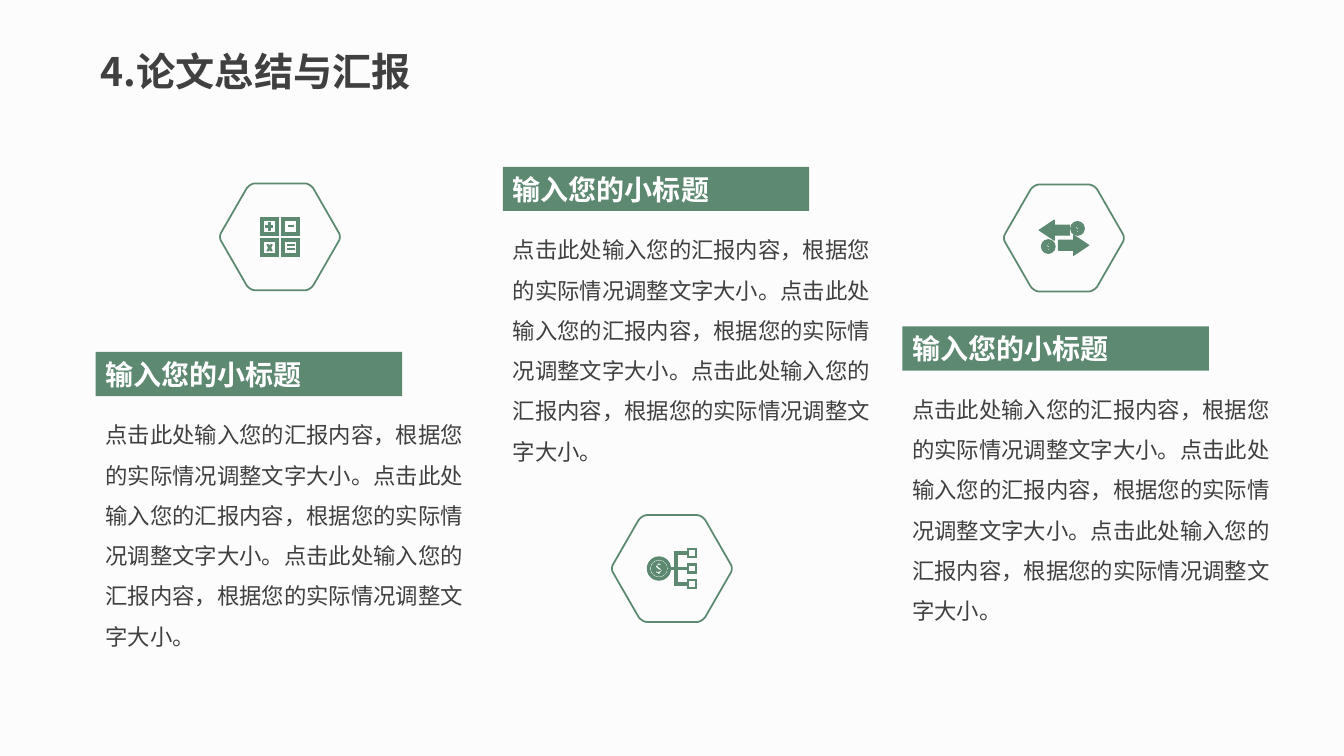
"""Build the thesis summary slide with three hexagon icons and text blocks."""
from math import cos, pi, sin

from lxml import etree
from pptx import Presentation
from pptx.dml.color import RGBColor
from pptx.enum.shapes import MSO_SHAPE
from pptx.enum.text import MSO_ANCHOR, MSO_AUTO_SIZE, PP_ALIGN
from pptx.oxml.ns import qn
from pptx.util import Pt

GREEN = RGBColor(0x5D, 0x89, 0x71)
DARK = RGBColor(0x40, 0x40, 0x40)
WHITE = RGBColor(0xFF, 0xFF, 0xFF)
PAPER = RGBColor(0xFC, 0xFC, 0xFC)
FONT = "Noto Sans CJK SC"

RECT, FRAME, RING = MSO_SHAPE.RECTANGLE, MSO_SHAPE.FRAME, MSO_SHAPE.DONUT
CROSS = MSO_SHAPE.CROSS
ARROW_LEFT, ARROW_RIGHT = MSO_SHAPE.LEFT_ARROW, MSO_SHAPE.RIGHT_ARROW
LEFT, TOP, MIDDLE = PP_ALIGN.LEFT, MSO_ANCHOR.TOP, MSO_ANCHOR.MIDDLE
GROW = MSO_AUTO_SIZE.SHAPE_TO_FIT_TEXT

TITLE = "4.论文总结与汇报"
SUBTITLE = "输入您的小标题"
BODY = "点击此处输入您的汇报内容，根据您的实际情况调整文字大小。" * 3

HEX_TOP = [(17.6, -38.2), (20, -38.2), (22.8, -36.4), (24.2, -34)]
HEX_SIDE = [(41.6, -3.7), (43.2, -1.4), (43.2, 1.4), (41.6, 3.7)]
DOLLAR = [(1, 5), (1, 6), (-1, 6), (-1, 5), (-4, 4), (-3, 2), (-1, 3),
          (1.5, 2), (-1, 1), (-4, -2), (-1, -5), (-1, -6), (1, -6), (1, -5),
          (3, -4.5), (2, -3), (0, -3.3), (-1.2, -2.5), (1, -1), (3.5, 2)]
BRANCH = [(-0.4, -1), (1.8, -1), (1.8, -12), (10.4, -12), (10.4, -10),
          (4, -10), (4, -1), (10.4, -1), (10.4, 1), (4, 1), (4, 10),
          (10.4, 10), (10.4, 12), (1.8, 12), (1.8, 1), (-0.4, 1)]
TIMES = [(-1.8, -2.2), (-0.8, -2.2), (0, -0.9), (0.8, -2.2), (1.8, -2.2),
         (0.7, 0), (1.8, 2.2), (0.8, 2.2), (0, 0.9), (-0.8, 2.2),
         (-1.8, 2.2), (-0.7, 0)]


def bezier(a, b, c, d, steps=8):
    """Return points along a cubic curve."""
    points = []
    for i in range(steps + 1):
        t = i / steps
        u = 1 - t
        weights = (u ** 3, 3 * u * u * t, 3 * u * t * t, t ** 3)
        points.append(tuple(sum(w * p[axis] for w, p in zip(weights, (a, b, c, d)))
                            for axis in (0, 1)))
    return points


def paint(sp, line_width, filled=True):
    """Give a shape the green outline and, if wanted, the green fill."""
    sp.shadow.inherit = False
    if filled:
        sp.fill.solid()
        sp.fill.fore_color.rgb = GREEN
    else:
        sp.fill.background()
    sp.line.color.rgb = GREEN
    sp.line.width = Pt(line_width)


def add_outline(shapes, cx, cy, *contours, line_width=0.75, filled=True):
    """Draw closed contours given as offsets from a centre."""
    builder = None
    for contour in contours:
        points = [(Pt(cx + x), Pt(cy + y)) for x, y in contour]
        if builder is None:
            builder = shapes.build_freeform(*points[0], scale=1.0)
        else:
            builder.move_to(*points[0])
        builder.add_line_segments(points[1:], close=True)
    paint(builder.convert_to_shape(), line_width, filled)


def add_part(shapes, kind, cx, cy, w, h, *adjustments):
    """Add a green preset shape centred on a point."""
    sp = shapes.add_shape(kind, Pt(cx - w / 2), Pt(cy - h / 2), Pt(w), Pt(h))
    for i, value in enumerate(adjustments):
        sp.adjustments[i] = value
    paint(sp, 0.75)


def add_hexagon(shapes, cx, cy):
    """Draw a hexagon outline with rounded corners."""
    top = bezier(*HEX_TOP)
    right = top + bezier(*HEX_SIDE) + [(x, -y) for x, y in reversed(top)]
    left = [(-x, -y) for x, y in right]
    add_outline(shapes, cx, cy, right + left, line_width=1.25, filled=False)


def add_coin(shapes, cx, cy, ring, disc, thickness):
    """Draw a ringed coin with a dollar sign cut out."""
    add_part(shapes, RING, cx, cy, ring, ring, thickness)
    angles = [2 * pi * i / 32 for i in range(32)]
    circle = [(disc / 2 * cos(a), disc / 2 * sin(a)) for a in angles]
    dollar = [(x * disc / 15, y * disc / 15) for x, y in DOLLAR]
    add_outline(shapes, cx, cy, circle, dollar)


def add_calculator(shapes, cx, cy):
    """Draw four calculator keys."""
    for dx in (-7.5, 7.5):
        for dy in (-7.5, 7.5):
            add_part(shapes, FRAME, cx + dx, cy + dy, 13.4, 13.2, 0.16)
    add_part(shapes, CROSS, cx - 7.5, cy - 7.5, 5, 5.4, 0.42)
    add_part(shapes, RECT, cx + 7.9, cy - 7.7, 3.6, 1.2)
    add_outline(shapes, cx - 7.4, cy + 7.8, TIMES)
    for dy in (6, 9):
        add_part(shapes, RECT, cx + 7.9, cy + dy, 5.4, 0.8)


def add_money_tree(shapes, cx, cy):
    """Draw a coin that branches to three boxes."""
    for dy in (-10.9, 0, 10.9):
        add_part(shapes, FRAME, cx + 14.4, cy + dy, 6.7, 6.7, 0.15)
    add_outline(shapes, cx, cy, BRANCH)
    add_coin(shapes, cx - 9.3, cy, 16.6, 10.8, 0.1)


def add_exchange(shapes, cx, cy):
    """Draw two opposed arrows with coins."""
    add_part(shapes, ARROW_LEFT, cx - 6.9, cy - 5.6, 21.6, 14.4, 0.5, 0.75)
    add_part(shapes, ARROW_RIGHT, cx + 6.9, cy + 5.2, 21.6, 14.4, 0.5, 0.75)
    add_coin(shapes, cx + 9.7, cy - 6.8, 9.8, 7.4, 0.05)
    add_coin(shapes, cx - 11.2, cy + 6.1, 9.8, 7.4, 0.05)


def write(sp, text, size, color, bold=False, anchor=TOP, spacing=1.0):
    """Put one formatted paragraph into a shape."""
    tf = sp.text_frame
    tf.word_wrap = True
    tf.auto_size = GROW
    tf.vertical_anchor = anchor
    p = tf.paragraphs[0]
    p.text = text
    p.alignment = LEFT
    p.line_spacing = spacing
    p.font.size = Pt(size)
    p.font.bold = bold
    p.font.color.rgb = color
    p.font.name = FONT
    defaults = p._p.pPr.find(qn("a:defRPr"))
    etree.SubElement(defaults, qn("a:ea")).set("typeface", FONT)


def add_title(s):
    """Place and fill the slide title."""
    sp = s.shapes.title
    sp.left, sp.top, sp.width, sp.height = Pt(64.8), Pt(30.2), Pt(241.2), Pt(41)
    write(sp, TITLE, 28, DARK, bold=True)


def add_block(s, left, top):
    """Add a green subtitle bar with its text below."""
    sp = s.shapes.add_shape(RECT, Pt(left), Pt(top), Pt(218.9), Pt(31.5))
    paint(sp, 0.75)
    sp.line.fill.background()
    write(sp, SUBTITLE, 20, WHITE, bold=True, anchor=MIDDLE)
    sp = s.shapes.add_textbox(Pt(left), Pt(top + 36.5), Pt(272.5), Pt(178.6))
    write(sp, BODY, 16, DARK, spacing=1.5)


def main():
    """Build and save the slide."""
    prs = Presentation()
    prs.slide_width, prs.slide_height = Pt(960), Pt(540)
    s = prs.slides.add_slide(prs.slide_layouts[5])
    s.background.fill.solid()
    s.background.fill.fore_color.rgb = PAPER
    add_title(s)
    columns = [(add_calculator, 200, 169.2, 68.4, 251.4),
               (add_money_tree, 480, 406.1, 359.2, 119.2),
               (add_exchange, 760, 170, 644.6, 233.2)]
    for add_icon, cx, cy, left, top in columns:
        add_hexagon(s.shapes, cx, cy)
        add_icon(s.shapes.add_group_shape().shapes, cx, cy)
        add_block(s, left, top)
    prs.save("out.pptx")


if __name__ == "__main__":
    main()
